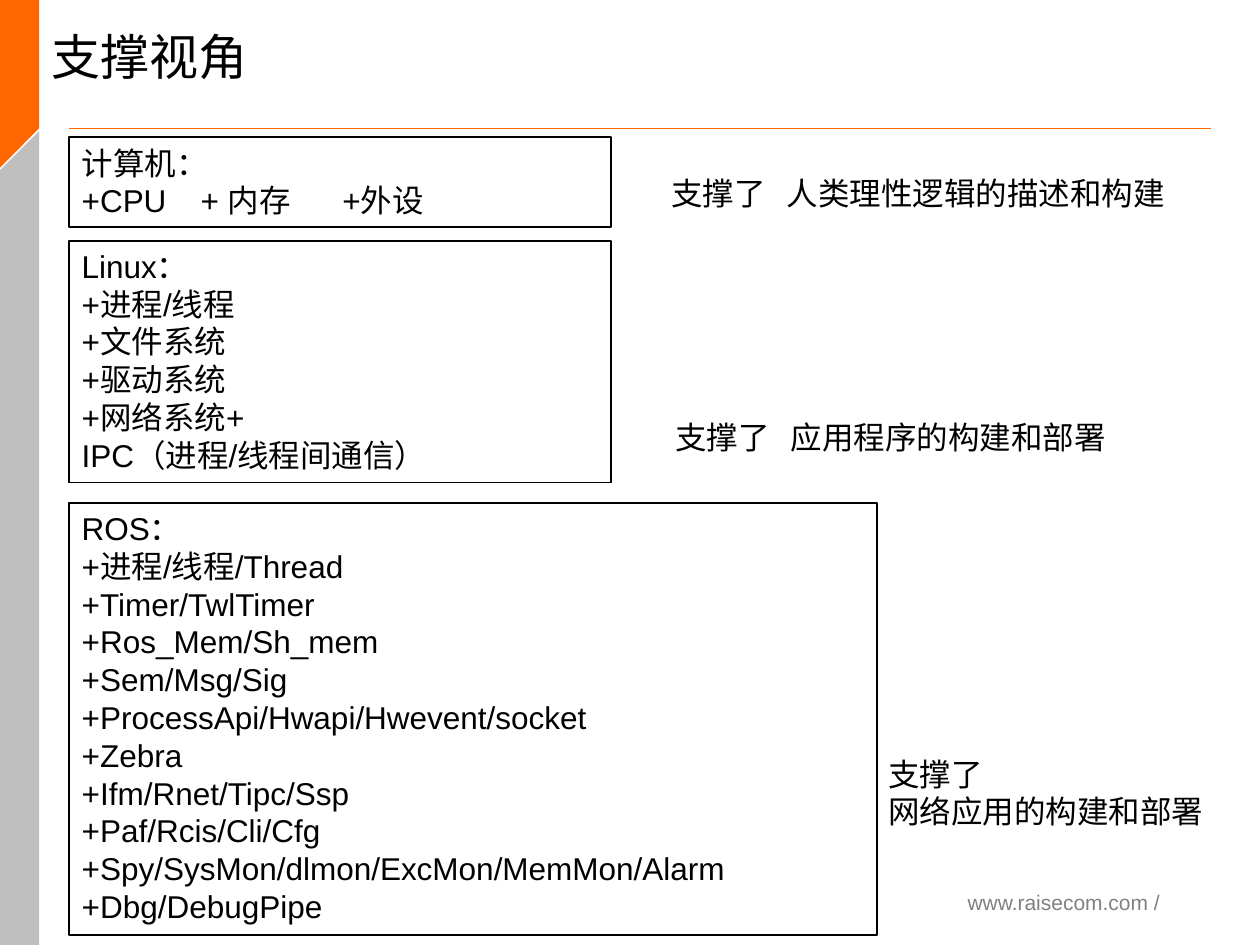
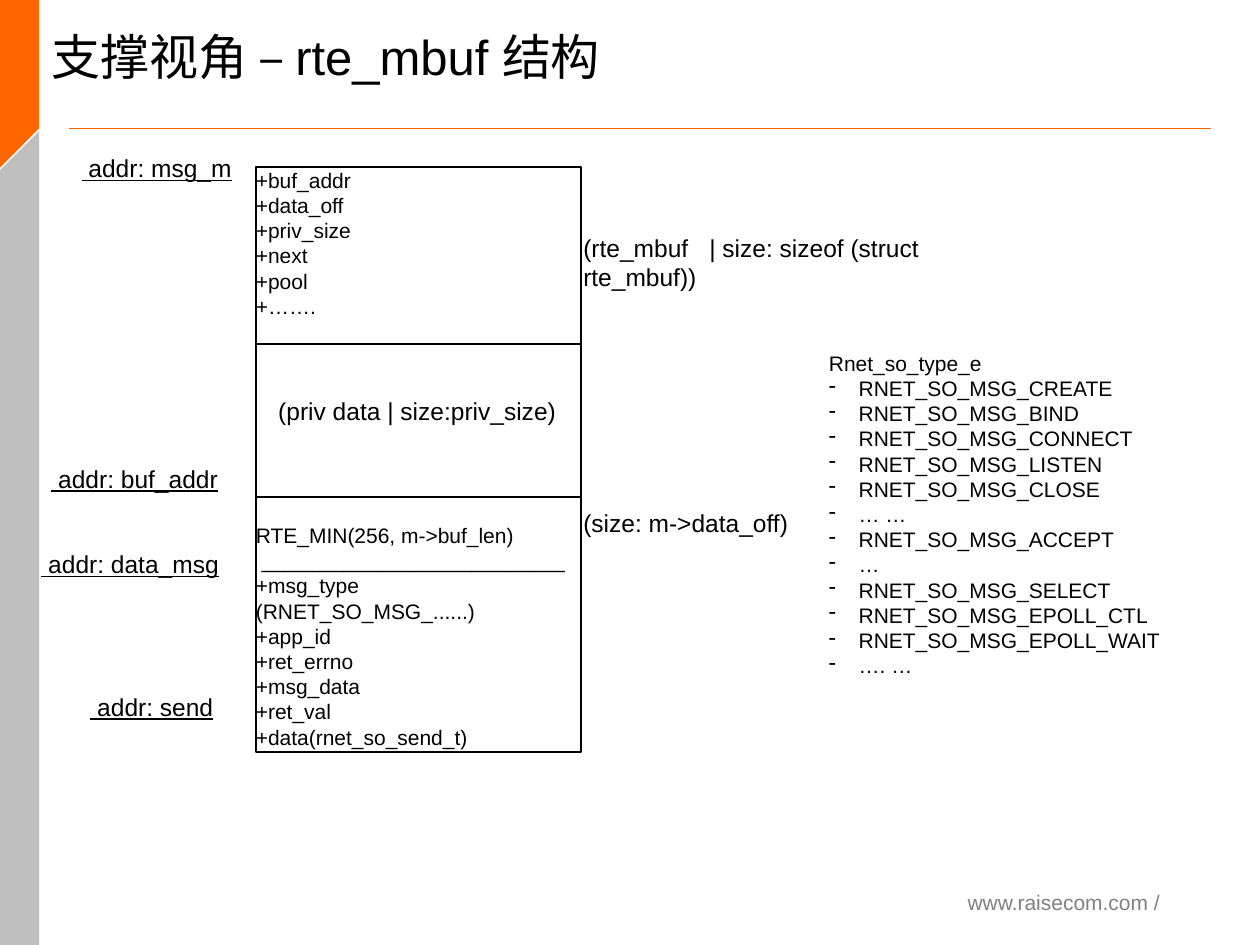
from pptx import Presentation
from pptx.dml.color import RGBColor
from pptx.enum.shapes import MSO_CONNECTOR, MSO_SHAPE
from pptx.enum.text import MSO_ANCHOR, MSO_AUTO_SIZE, PP_ALIGN
from pptx.oxml.ns import qn
from pptx.util import Pt
from lxml.etree import SubElement

BLACK, ORANGE, SILVER, GREY = "000000", "FF6600", "BFBFBF", "808080"
INSET = (7.2, 3.6, 7.2, 3.6)


def colour(value):
    return RGBColor.from_string(value)


class Deck:
    """Holds the shared style and the current page."""

    def __init__(self, width, height):
        self.deck = Presentation()
        self.deck.slide_width, self.deck.slide_height = Pt(width), Pt(height)
        self.height = height
        self.page = None

    def new_page(self, title):
        self.page = self.deck.slides.add_slide(self.deck.slide_layouts[6])
        self.band([(0, 97.2), (22.3, 74.9), (22.3, self.height), (0, self.height)], SILVER)
        self.band([(0, 95.8), (22.3, 73.4), (22.3, 0), (0, 0)], ORANGE)
        self.rule(39.6, 73.4, 691.9, 73.4)
        self.text(545.8, 504.7, 146.2, 21.6, ["www.raisecom.com /"], size=12, color=GREY)
        self.text(22.3, 11.5, 680.4, 41, [title], size=28)

    def band(self, points, fill):
        start, *rest = [(Pt(x), Pt(y)) for x, y in points]
        builder = self.page.shapes.build_freeform(*start)
        builder.add_line_segments(rest, close=True)
        shape = builder.convert_to_shape()
        shape.shadow.inherit = False
        shape.fill.solid()
        shape.fill.fore_color.rgb = colour(fill)
        shape.line.fill.background()

    def rule(self, x1, y1, x2, y2):
        line = self.page.shapes.add_connector(
            MSO_CONNECTOR.STRAIGHT, Pt(x1), Pt(y1), Pt(x2), Pt(y2))
        line.line.color.rgb = colour(ORANGE)
        line.line.width = Pt(0.75)
        SubElement(line._element.spPr, qn("a:effectLst"))

    def text(self, left, top, width, height, lines, **style):
        box = self.page.shapes.add_textbox(Pt(left), Pt(top), Pt(width), Pt(height))
        self.fill_text(box.text_frame, lines, **style)

    def frame(self, left, top, width, height, lines=(), **style):
        box = self.page.shapes.add_shape(
            MSO_SHAPE.RECTANGLE, Pt(left), Pt(top), Pt(width), Pt(height))
        box.shadow.inherit = False
        box.fill.background()
        box.line.color.rgb = colour(BLACK)
        box.line.width = Pt(1)
        self.fill_text(box.text_frame, lines, **style)

    def fill_text(self, frame, lines, size=18, color=BLACK, underline=None,
                  inset=INSET, tabs=(), bullets_from=None):
        settings = {"word_wrap": True, "auto_size": MSO_AUTO_SIZE.NONE,
                    "vertical_anchor": MSO_ANCHOR.TOP}
        for side, value in zip(("left", "top", "right", "bottom"), inset):
            settings[f"margin_{side}"] = Pt(value)
        for name, value in settings.items():
            setattr(frame, name, value)
        for index, line in enumerate(lines):
            para = frame.add_paragraph() if index else frame.paragraphs[0]
            para.alignment = PP_ALIGN.LEFT
            if bullets_from is not None and index >= bullets_from:
                self.bullet(para)
            if "\t" in line:
                self.tab_stops(para, tabs)
            span = para.add_run()
            span.text = line
            for name, value in {"name": "Arial", "size": Pt(size),
                                "underline": underline}.items():
                setattr(span.font, name, value)
            span.font.color.rgb = colour(color)

    def bullet(self, para):
        properties = para._p.get_or_add_pPr()
        properties.set("marL", str(Pt(17)))
        properties.set("indent", str(-Pt(17)))
        SubElement(properties, qn("a:buChar")).set("char", "-")

    def tab_stops(self, para, tabs):
        stops = SubElement(para._p.get_or_add_pPr(), qn("a:tabLst"))
        for position in tabs:
            stop = SubElement(stops, qn("a:tab"))
            stop.set("pos", str(Pt(position)))
            stop.set("algn", "l")


def support_page(deck):
    deck.new_page("支撑视角")

    # Layers of the platform: top, width, height, lines
    layers = [
        (78.5, 309.6, 51.1, ["计算机：", "+CPU\t+ 内存\t+外设"]),
        (137.5, 309.6, 138.2, ["Linux：", "+进程/线程", "+文件系统", "+驱动系统",
                               "+网络系统+", "IPC（进程/线程间通信）"]),
        (287.3, 461.5, 247, ["ROS：", "+进程/线程/Thread", "+Timer/TwlTimer",
                             "+Ros_Mem/Sh_mem", "+Sem/Msg/Sig",
                             "+ProcessApi/Hwapi/Hwevent/socket", "+Zebra",
                             "+Ifm/Rnet/Tipc/Ssp", "+Paf/Rcis/Cli/Cfg",
                             "+Spy/SysMon/dlmon/ExcMon/MemMon/Alarm",
                             "+Dbg/DebugPipe"]),
    ]
    for top, width, height, lines in layers:
        deck.frame(39.6, top, width, height, lines, tabs=(68, 149))

    # What each layer supports
    claims = [
        (376.6, 95.8, 315.4, 28.8, ["支撑了\t人类理性逻辑的描述和构建"]),
        (378.7, 235.4, 279.4, 28.8, ["支撑了\t应用程序的构建和部署"]),
        (500.4, 427.7, 208.1, 51.1, ["支撑了", "网络应用的构建和部署"]),
    ]
    for claim in claims:
        deck.text(*claim, tabs=(66,))


def mbuf_page(deck):
    deck.new_page("支撑视角 – rte_mbuf 结构")

    # Memory blocks, stacked without gaps: height, top inset, lines
    blocks = [
        (101.2, 0, ["+buf_addr", "+data_off", "+priv_size", "+next", "+pool", "+……."]),
        (87.4, 0, []),
        (145.4, 14.4, ["RTE_MIN(256, m->buf_len)", " " + "_" * 26,
                       "+msg_type (RNET_SO_MSG_......)", "+app_id", "+ret_errno",
                       "+msg_data", "+ret_val", "+data(rnet_so_send_t)"]),
    ]
    top = 95.6
    for height, top_inset, lines in blocks:
        deck.frame(146.2, top, 185.8, height, lines, size=12, inset=(0, top_inset, 0, 0))
        top += height

    # Sizes of the blocks
    sizes = [
        (326.2, 129.6, 270, "(rte_mbuf\t| size: sizeof (struct rte_mbuf))"),
        (151.9, 222.5, 174.2, "(priv data | size:priv_size)"),
        (326.2, 286.6, 135.4, "(size: m->data_off)"),
    ]
    for left, top, width, label in sizes:
        deck.text(left, top, width, 24.5, [label], size=14, tabs=(72,))

    # Underlined addresses; a tab carries the line past the word
    addresses = [
        (39.6, 84.2, 118.1, "msg_m", 93),
        (22.3, 261.4, 129.6, "buf_addr", 103),
        (16.6, 310.3, 129.6, "data_msg", 109),
        (44.6, 391.7, 90, "send", 74),
    ]
    for left, top, width, name, line_end in addresses:
        deck.text(left, top, width, 24.5, [f" addr: {name}\t"], size=14,
                  underline=True, tabs=(line_end,))

    # Message types
    messages = ["CREATE", "BIND", "CONNECT", "LISTEN", "CLOSE", "… …", "ACCEPT",
                "…", "SELECT", "EPOLL_CTL", "EPOLL_WAIT", "…. …"]
    lines = [name if "…" in name else f"RNET_SO_MSG_{name}" for name in messages]
    deck.text(466.6, 196.6, 213.8, 218.2, ["Rnet_so_type_e", *lines], size=12,
              bullets_from=1)


def main():
    deck = Deck(720, 540)
    support_page(deck)
    mbuf_page(deck)
    deck.deck.save("out.pptx")


if __name__ == "__main__":
    main()
